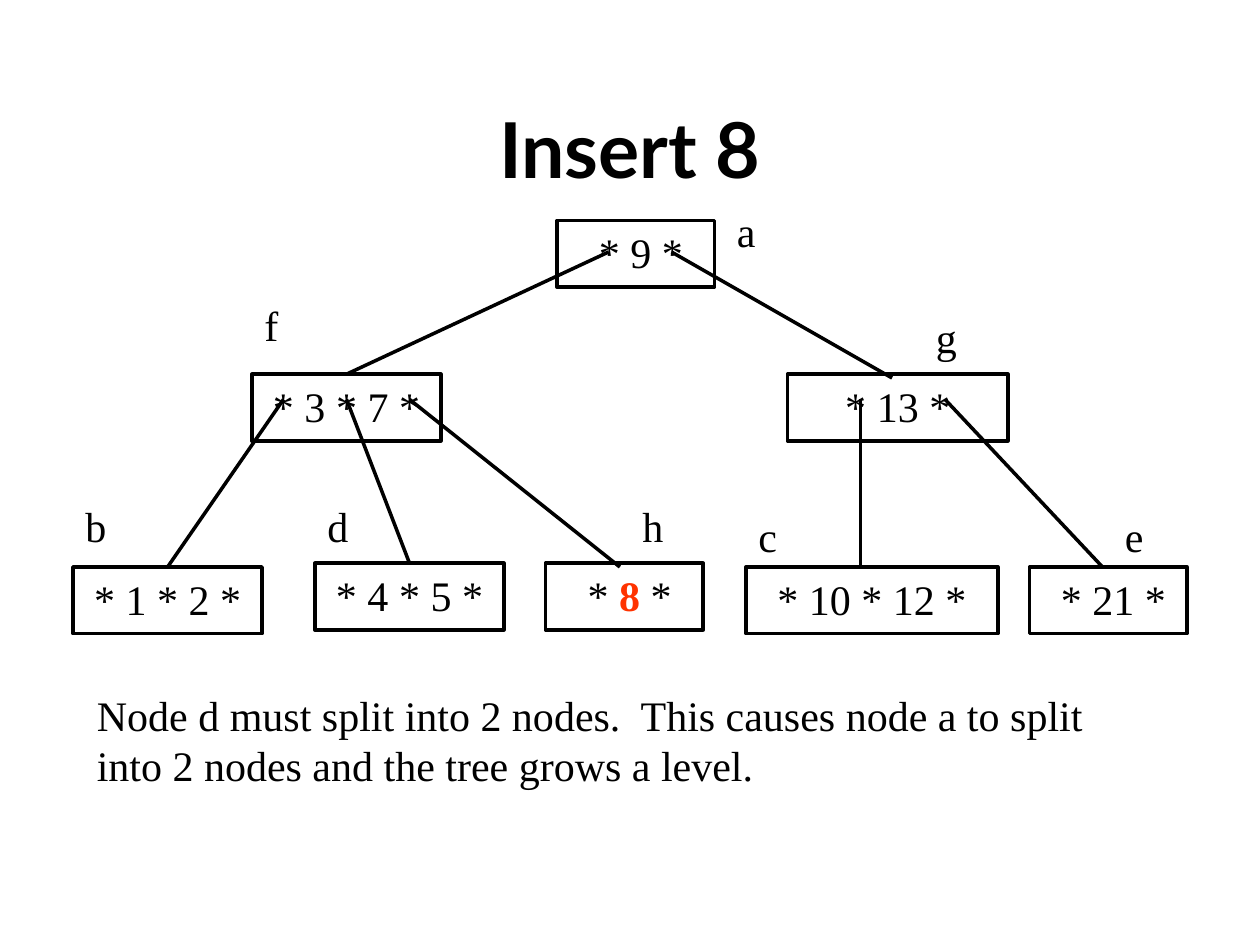
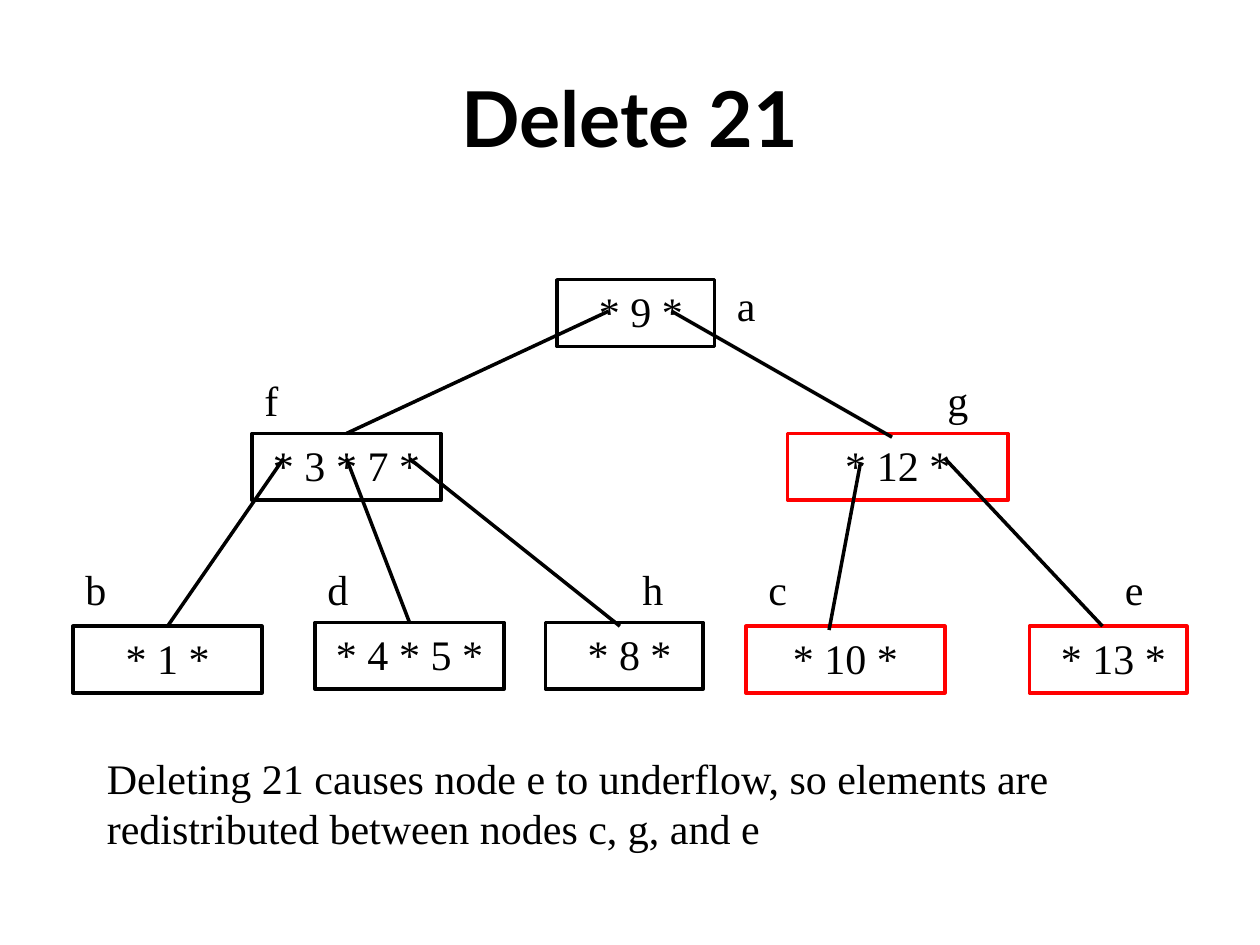
from dataclasses import dataclass

import pptx
import pptx.dml.color
import pptx.enum.shapes
import pptx.enum.text
import pptx.oxml
import pptx.oxml.ns
import pptx.util

Inches = pptx.util.Inches
Align = pptx.enum.text.PP_ALIGN
Anchor = pptx.enum.text.MSO_ANCHOR


@dataclass(frozen=True)
class Theme:
    ink: str = "000000"
    inserted: str = "FF3300"
    changed: str = "FF0000"
    title_font: str = "Lato"
    body_font: str = "Times New Roman"
    title_size: int = 44
    body_size: int = 24
    line_width: int = 2


THEME = Theme()

# Geometry shared by both trees, measured on the first slide
NODE_HEIGHT = 0.53
LABEL_SIZE = 0.5
NODES = {  # left, top, width
    "f": (2, 2.97, 1.5),
    "e": (8.17, 4.5, 1.25),
    "g": (6.25, 2.97, 1.75),
    "a": (4.42, 1.75, 1.25),
    "b": (0.58, 4.5, 1.5),
    "d": (2.5, 4.47, 1.5),
    "c": (5.92, 4.5, 2),
    "h": (4.33, 4.47, 1.25),
}
LINKS = {  # child: pointer in the parent, end (None joins the child's top)
    "f": ((4.83, 2), None),
    "g": ((5.33, 2), (7.08, 3)),
    "b": ((2.25, 3.17), None),
    "d": ((2.75, 3.17), None),
    "h": ((3.25, 3.17), (4.92, 4.5)),
    "c": ((6.83, 3.17), (6.83, 4.5)),
    "e": ((7.5, 3.17), (8.75, 4.5)),
}


class TreeDeck:
    def __init__(self, theme):
        self.theme = theme
        self.prs = pptx.Presentation()
        self.prs.slide_width = Inches(10)
        self.prs.slide_height = Inches(7.5)
        self.slide = None

    def color(self, value):
        return pptx.dml.color.RGBColor.from_string(value)

    def fill_frame(self, frame, runs, font, size, align, anchor, bold=False):
        """Fill a frame with (text, colour, bold) runs or one plain string."""
        frame.word_wrap = True
        frame.vertical_anchor = anchor
        paragraph = frame.paragraphs[0]
        paragraph.alignment = align
        paragraph.space_before = pptx.util.Pt(0)
        if isinstance(runs, str):
            runs = [(runs, self.theme.ink, bold)]
        for text, color, heavy in runs:
            run = paragraph.add_run()
            run.text = text
            run.font.name = font
            run.font.size = pptx.util.Pt(size)
            run.font.bold = heavy
            run.font.color.rgb = self.color(color)

    def fill_body(self, frame, runs, align=Align.LEFT):
        self.fill_frame(frame, runs, self.theme.body_font, self.theme.body_size,
                        align, Anchor.TOP)
        frame.auto_size = pptx.enum.text.MSO_AUTO_SIZE.SHAPE_TO_FIT_TEXT

    def stroke(self, line, color):
        line.color.rgb = self.color(color)
        line.width = pptx.util.Pt(self.theme.line_width)

    def start(self, title, left, top, width, height):
        self.slide = self.prs.slides.add_slide(self.prs.slide_layouts[5])
        heading = self.slide.shapes.title
        heading.left, heading.top = Inches(left), Inches(top)
        heading.width, heading.height = Inches(width), Inches(height)
        self.fill_frame(heading.text_frame, title, self.theme.title_font,
                        self.theme.title_size, Align.CENTER, Anchor.MIDDLE,
                        bold=True)

    def node(self, keys, left, top, width, color):
        node = self.slide.shapes.add_shape(
            pptx.enum.shapes.MSO_SHAPE.RECTANGLE,
            Inches(left), Inches(top), Inches(width), Inches(NODE_HEIGHT))
        node.shadow.inherit = False
        node.fill.background()
        self.stroke(node.line, color)
        self.fill_body(node.text_frame, keys, Align.CENTER)
        return node

    def link(self, start, end, child=None):
        link = self.slide.shapes.add_connector(
            pptx.enum.shapes.MSO_CONNECTOR.STRAIGHT,
            *(Inches(value) for value in (*start, *end)))
        self.stroke(link.line, self.theme.ink)
        properties = link._element.find(pptx.oxml.ns.qn("p:spPr"))
        properties.append(pptx.oxml.parse_xml(
            f'<a:effectLst {pptx.oxml.ns.nsdecls("a")}/>'))
        if child is not None:
            link.end_connect(child, 0)

    def text(self, words, left, top, width=LABEL_SIZE, height=LABEL_SIZE):
        box = self.slide.shapes.add_textbox(
            Inches(left), Inches(top), Inches(width), Inches(height))
        self.fill_body(box.text_frame, words)

    def tree(self, keys, labels, drop=0, changed=(), nodes=NODES, links=LINKS):
        """Draw nodes, links and node names, with the tree lowered by drop."""
        drawn = {}
        for name, (left, top, width) in nodes.items():
            color = self.theme.changed if name in changed else self.theme.ink
            drawn[name] = self.node(keys[name], left, top + drop, width, color)
        for child, ((x, y), end) in links.items():
            if end is None:
                self.link((x, y + drop), (x, y + drop), drawn[child])
            else:
                self.link((x, y + drop), (end[0], end[1] + drop))
        for name, (left, top) in labels.items():
            self.text(name, left, top)


def main():
    deck = TreeDeck(THEME)

    # Insertion: node d splits and the tree grows a level
    deck.start("Insert 8", 0.75, 0.67, 8.5, 1)
    insert_keys = {
        "a": " * 9 *", "f": "* 3 * 7 *", "g": "* 13 *",
        "b": "* 1 * 2 *", "d": "* 4 * 5 *",
        "h": [(" * ", THEME.ink, False), ("8", THEME.inserted, True),
              (" *", THEME.ink, False)],
        "c": "* 10 * 12 *", "e": " * 21 *",
    }
    insert_labels = {
        "b": (0.58, 3.92), "a": (5.75, 1.58), "f": (2, 2.33), "g": (7.33, 2.42),
        "d": (2.5, 3.92), "h": (5, 3.92), "c": (5.92, 4), "e": (8.83, 4),
    }
    deck.tree(insert_keys, insert_labels)
    deck.text("Node d must split into 2 nodes.  This causes node a to split "
              "into 2 nodes and the tree grows a level.", 0.67, 5.42, 8.42, 0.9)

    # Deletion: c, g and e share their keys again
    deck.start("Delete 21", 0.5, 0.3, 9, 1.25)
    delete_keys = {
        **insert_keys, "g": "* 12 *", "b": "* 1 *", "h": " * 8 *",
        "c": "* 10 *", "e": " * 13 *",
    }
    leaf_lefts = {"b": 0.58, "d": 2.5, "h": 5, "c": 6, "e": 8.83}
    delete_labels = {
        "a": (5.75, 2.17), "f": (2, 2.92), "g": (7.42, 2.92),
        **{name: (left, 4.42) for name, left in leaf_lefts.items()},
    }
    deck.tree(delete_keys, delete_labels, drop=0.47, changed="cge",
              nodes={**NODES, "c": (5.92, 4.5, 1.58)},
              links={**LINKS, "c": ((6.83, 3.2), (6.58, 4.53))})
    deck.text("Deleting 21 causes node e to underflow, so elements are "
              "redistributed between nodes c, g, and e", 0.75, 5.92, 8.08, 0.9)

    deck.prs.save("out.pptx")


if __name__ == "__main__":
    main()
